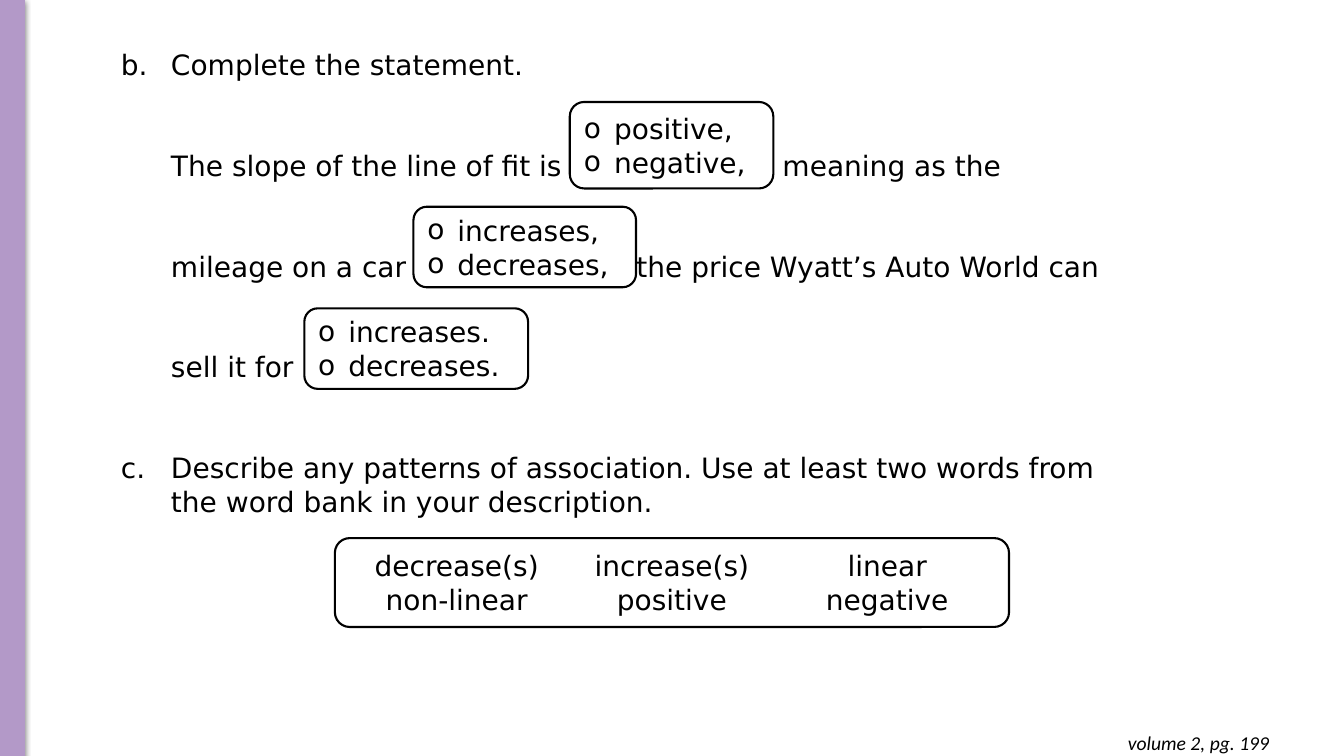
from lxml.etree import SubElement
from pptx import Presentation
from pptx.dml.color import RGBColor
from pptx.enum.shapes import MSO_SHAPE
from pptx.enum.text import MSO_ANCHOR, PP_ALIGN
from pptx.oxml.ns import qn
from pptx.util import Cm, Pt

COLORS = {"ink": "000000", "bar": "B399C8"}
BODY_FONT = "DejaVu Sans"


def color(name):
    return RGBColor.from_string(COLORS[name])


def add_child(parent, tag, **attributes):
    child = SubElement(parent, qn(tag))
    for key, value in attributes.items():
        child.set(key, str(value))
    return child


def indent(paragraph, left, first=0):
    properties = paragraph._p.get_or_add_pPr()
    properties.set("marL", str(Cm(left)))
    properties.set("indent", str(Cm(first)))
    return properties


def add_marker(properties, tag, **attributes):
    ink = add_child(properties, "a:buClr")
    add_child(ink, "a:srgbClr", val=COLORS["ink"])
    add_child(properties, "a:buFont", typeface=BODY_FONT)
    add_child(properties, tag, **attributes)


def format_runs(paragraph, size=20, name=BODY_FONT, italic=None):
    for run in paragraph.runs:
        run.font.size = Pt(size)
        run.font.name = name
        run.font.italic = italic
        run.font.color.rgb = color("ink")


def add_lines(frame, lines):
    frame.word_wrap = True
    frame.text = "\n".join(lines)
    for paragraph in frame.paragraphs:
        format_runs(paragraph)
    return frame.paragraphs


def add_text(slide, left, top, width, height, lines):
    area = slide.shapes.add_textbox(Cm(left), Cm(top), Cm(width), Cm(height))
    return add_lines(area.text_frame, lines)


def add_side_bar(slide):
    bar = slide.shapes.add_shape(MSO_SHAPE.RECTANGLE, 0, 0, Cm(0.61), Cm(19.07))
    bar.fill.solid()
    bar.fill.fore_color.rgb = color("bar")
    bar.line.color.rgb = color("bar")
    bar.line.width = Pt(0.75)
    effects = add_child(bar._element.spPr, "a:effectLst")
    shadow = add_child(effects, "a:outerShdw", blurRad=Pt(4.5), dist=Pt(1.5),
                       dir=90 * 60000, rotWithShape=0)
    shade = add_child(shadow, "a:srgbClr", val=COLORS["ink"])
    add_child(shade, "a:alpha", val=50000)


def add_rounded_box(slide, left, top, width, height, lines):
    box = slide.shapes.add_shape(MSO_SHAPE.ROUNDED_RECTANGLE,
                                 Cm(left), Cm(top), Cm(width), Cm(height))
    box.shadow.inherit = False
    box.fill.background()
    box.line.color.rgb = color("ink")
    box.line.width = Pt(1.5)
    box.text_frame.vertical_anchor = MSO_ANCHOR.MIDDLE
    return box.text_frame, add_lines(box.text_frame, lines)


def add_choices(slide, left, top, width, height, choices):
    _, paragraphs = add_rounded_box(slide, left, top, width, height, choices)
    for choice in paragraphs:
        choice.alignment = PP_ALIGN.LEFT
        add_marker(indent(choice, 0.76, -0.76), "a:buChar", char="o")


def add_word_bank(slide, words):
    frame, paragraphs = add_rounded_box(slide, 8.44, 13.56, 16.99, 2.24, words)
    frame._txBody.bodyPr.set("numCol", "3")
    for word in paragraphs:
        word.alignment = PP_ALIGN.CENTER


def add_questions(slide):
    part_b, *statement, part_c = add_text(slide, 1.52, 1.07, 26.97, 13.49, [
        "Complete the statement.",
        "The slope of the line of fit is",
        "mileage on a car",
        "sell it for",
        "Describe any patterns of association. Use at least two words from "
        "the word bank in your description.",
    ])
    for question, number in ((part_b, 2), (part_c, 3)):
        add_marker(indent(question, 2.54, -1.26), "a:buAutoNum",
                   type="alphaLcPeriod", startAt=number)
    part_c.space_before = Pt(48)
    for line in statement:
        indent(line, 2.54)
        line.line_spacing = 3.0
    add_text(slide, 19.47, 3.61, 9, 1.1, ["meaning as the"])
    add_text(slide, 15.79, 6.16, 13, 1.1, ["the price Wyatt’s Auto World can"])


def add_page_reference(slide):
    reference = slide.shapes.add_textbox(Cm(24.92), Cm(18.16), Cm(7.32), Cm(1.12))
    frame = reference.text_frame
    frame.word_wrap = True
    frame.margin_top = frame.margin_bottom = Cm(0.25)
    frame.text = "volume 2, pg. 199"
    frame.paragraphs[0].alignment = PP_ALIGN.RIGHT
    format_runs(frame.paragraphs[0], 14, "Calibri", True)


def main():
    deck = Presentation()
    deck.slide_width, deck.slide_height = Cm(33.87), Cm(19.05)
    slide = deck.slides.add_slide(deck.slide_layouts[6])
    add_side_bar(slide)
    add_questions(slide)
    add_choices(slide, 14.36, 2.57, 5.13, 2.18, ["positive,", "negative,"])
    add_choices(slide, 10.42, 5.21, 5.61, 2.03, ["increases,", "decreases,"])
    add_choices(slide, 7.67, 7.77, 5.64, 2.03, ["increases.", "decreases."])
    add_page_reference(slide)
    add_word_bank(slide, ["decrease(s)", "non-linear", "increase(s)",
                          "positive", "linear", "negative"])
    deck.save("out.pptx")


if __name__ == "__main__":
    main()
